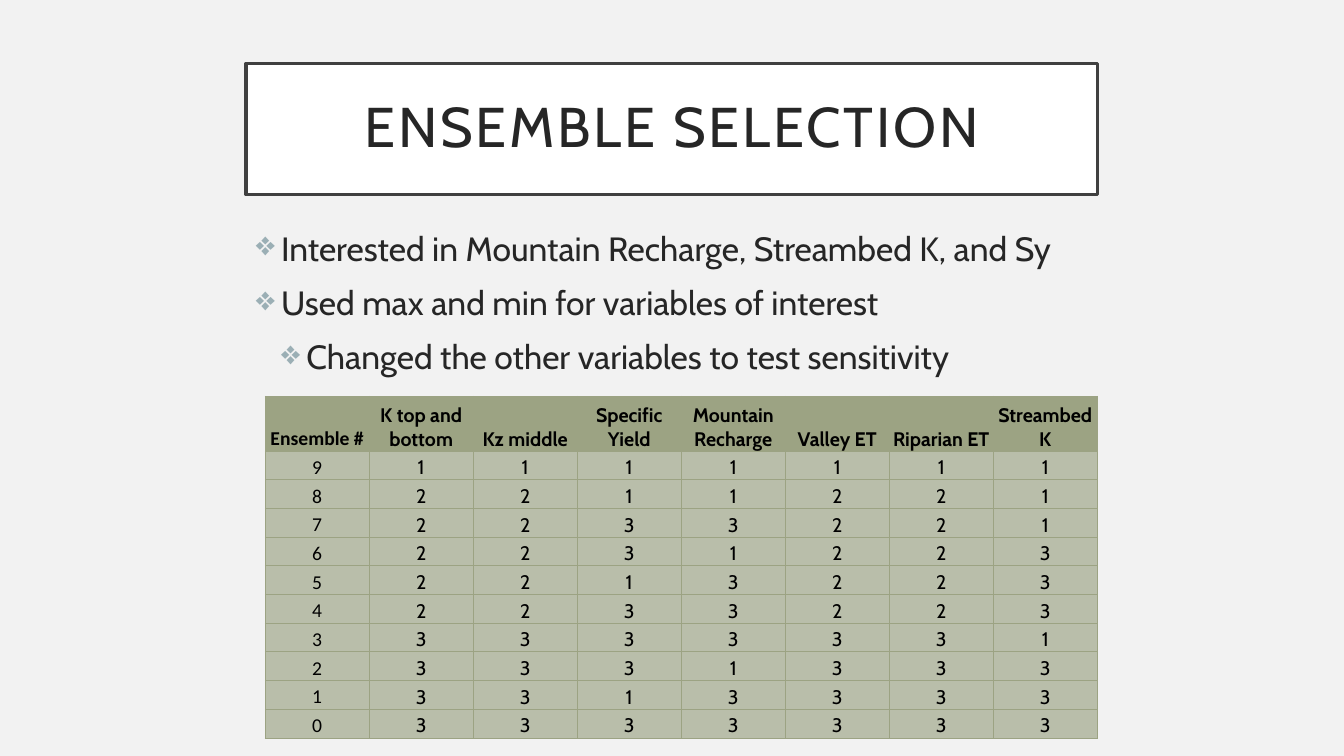
from dataclasses import dataclass
from typing import Any

from lxml import etree
from pptx import Presentation
from pptx.dml.color import RGBColor
from pptx.enum import shapes, text
from pptx.oxml import ns
from pptx.util import Pt

HEADERS = ["Ensemble #", "K top and bottom", "Kz middle", "Specific Yield",
           "Mountain Recharge", "Valley ET", "Riparian ET", "Streambed K"]
# One digit per column, from ensemble 9 down to ensemble 0
SETTINGS = ["1111111", "2211221", "2233221", "2231223", "2213223",
            "2233223", "3333331", "3331333", "3313333", "3333333"]
BULLETS = [
    ("Interested in Mountain Recharge, Streambed K, and Sy", 0),
    ("Used max and min for variables of interest", 0),
    ("Changed the other variables to test sensitivity", 1),
]


def color(value):
    return RGBColor.from_string(value)


def set_margins(target, left, top, right, bottom):
    target.margin_left, target.margin_top = Pt(left), Pt(top)
    target.margin_right, target.margin_bottom = Pt(right), Pt(bottom)


def add_xml(parent, tag, **attributes):
    return etree.SubElement(parent, ns.qn(tag), attributes)


@dataclass
class SlideBuilder:
    slide: Any
    font: str = "Cabin"
    number_font: str = "Calibri"
    ink: str = "262626"
    frame: str = "404040"
    accent: str = "9BAFB5"
    header_fill: str = "9CA383"
    body_fill: str = "B9BEAA"

    def background(self, fill):
        self.slide.background.fill.solid()
        self.slide.background.fill.fore_color.rgb = color(fill)

    def run(self, paragraph, words, size, ink=None, font=None, bold=False):
        run = paragraph.add_run()
        run.text = words
        run.font.size, run.font.bold = Pt(size), bold
        run.font.name = font or self.font
        run.font.color.rgb = color(ink or self.ink)
        return run

    def title(self, words, left, top, width, height):
        shape = self.slide.shapes.add_shape(
            shapes.MSO_SHAPE.RECTANGLE, Pt(left), Pt(top), Pt(width), Pt(height))
        shape.shadow.inherit = False
        shape.fill.solid()
        shape.fill.fore_color.rgb = color("FFFFFF")
        shape.line.color.rgb = color(self.frame)
        shape.line.width = Pt(2.5)
        frame = shape.text_frame
        frame.word_wrap = True
        frame.vertical_anchor = text.MSO_ANCHOR.MIDDLE
        set_margins(frame, 14.4, 14.4, 14.4, 14.4)
        paragraph = frame.paragraphs[0]
        paragraph.alignment = text.PP_ALIGN.CENTER
        paragraph.line_spacing = 0.9
        run = self.run(paragraph, words, 40)
        run.font._element.set("spc", "200")

    def bullets(self, items, left, top, width, height):
        box = self.slide.shapes.add_textbox(Pt(left), Pt(top), Pt(width), Pt(height))
        frame = box.text_frame
        frame.word_wrap = True
        for index, (words, level) in enumerate(items):
            paragraph = frame.add_paragraph() if index else frame.paragraphs[0]
            paragraph.level = level
            paragraph.space_before = Pt(10)
            properties = paragraph._p.get_or_add_pPr()
            properties.set("marL", str(Pt(18 * (level + 1))))
            properties.set("indent", str(Pt(-18)))
            bullet_color = add_xml(properties, "a:buClr")
            add_xml(bullet_color, "a:srgbClr", val=self.accent)
            add_xml(properties, "a:buChar", char="❖")
            self.run(paragraph, words, 24)

    def borders(self, cell):
        properties = cell._tc.get_or_add_tcPr()
        for index, side in enumerate("LRTB"):
            line = etree.Element(ns.qn(f"a:ln{side}"), w=str(Pt(0.5)))
            fill = add_xml(line, "a:solidFill")
            add_xml(fill, "a:srgbClr", val=self.header_fill)
            properties.insert(index, line)

    def cell(self, cell, words, header, font):
        cell.fill.solid()
        cell.fill.fore_color.rgb = color(self.header_fill if header else self.body_fill)
        cell.vertical_anchor = text.MSO_ANCHOR.BOTTOM
        set_margins(cell, 0.7, 0.7, 0.7, 0)
        self.borders(cell)
        paragraph = cell.text_frame.paragraphs[0]
        paragraph.alignment = text.PP_ALIGN.CENTER
        self.run(paragraph, words, 14, "000000", font, header)

    def table(self, rows, left, top, column_width, header_height, row_height):
        columns = len(rows[0])
        height = header_height + row_height * (len(rows) - 1)
        table = self.slide.shapes.add_table(
            len(rows), columns, Pt(left), Pt(top),
            Pt(column_width * columns), Pt(height)).table
        for column in table.columns:
            column.width = Pt(column_width)
        for row_index, values in enumerate(rows):
            header = row_index == 0
            table.rows[row_index].height = Pt(header_height if header else row_height)
            for column_index, words in enumerate(values):
                font = self.font if column_index else self.number_font
                self.cell(table.cell(row_index, column_index), words, header, font)


def main():
    presentation = Presentation()
    presentation.slide_width, presentation.slide_height = Pt(960), Pt(540)
    builder = SlideBuilder(presentation.slides.add_slide(presentation.slide_layouts[6]))
    builder.background("F2F2F2")
    builder.title("ENSEMBLE SELECTION", 175.7, 45.4, 608.4, 93.6)
    builder.bullets(BULLETS, 175.7, 159.1, 608.4, 244)
    ensembles = [[str(9 - index), *digits] for index, digits in enumerate(SETTINGS)]
    builder.table([HEADERS, *ensembles], 189.4, 283, 74.3, 39.1, 20.5)
    presentation.save("out.pptx")


if __name__ == "__main__":
    main()
